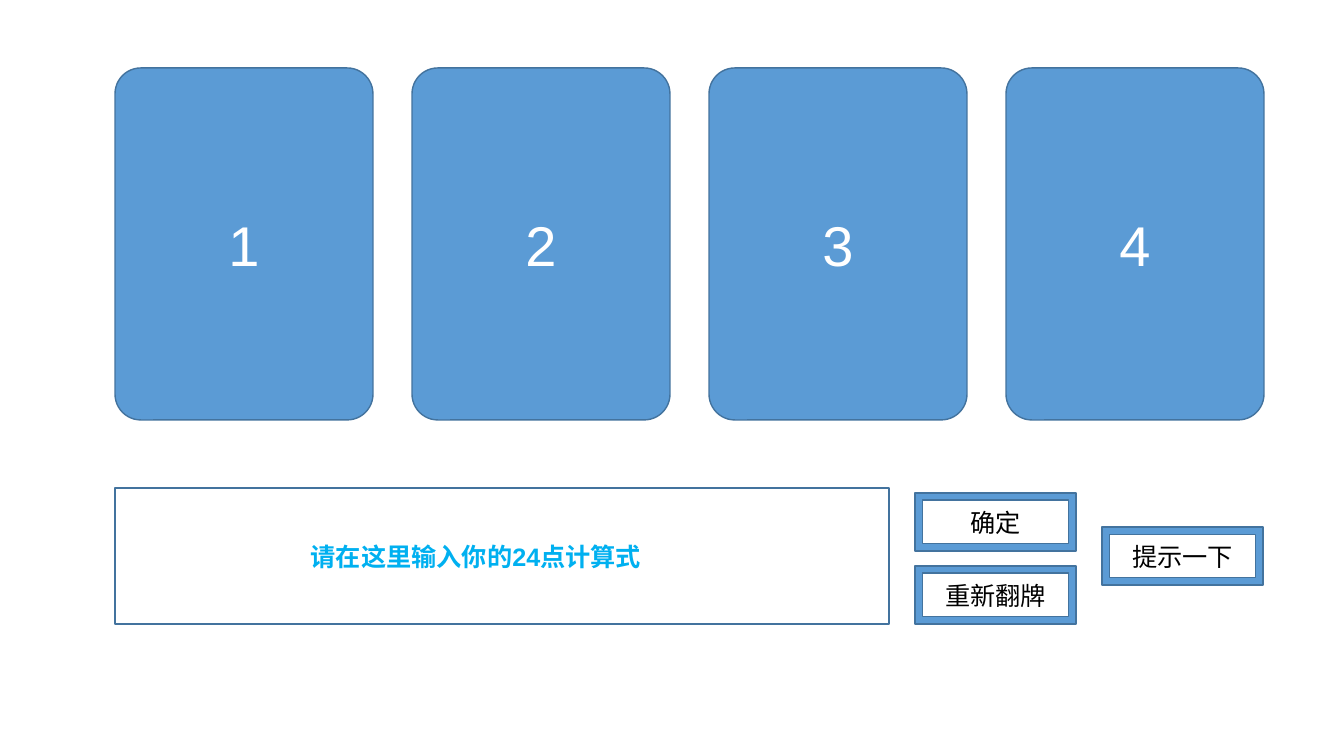
import pptx
import pptx.dml.color
import pptx.enum.shapes
import pptx.enum.text
import pptx.util

CARDS = ["1", "2", "3", "4"]
PROMPT = "请在这里输入你的24点计算式"
BUTTONS = [("确定", 915, 493), ("提示一下", 1102, 527), ("重新翻牌", 915, 566)]

SLIDE_SIZE = (1344, 756)
CARD_LEFT, CARD_TOP, CARD_STEP = 115, 68, 297
CARD_SIZE = (258, 352)
PROMPT_BOX = (115, 488, 774, 136)
PROMPT_RIGHT_INSET = 62
BUTTON_SIZE = (161, 58)
BLUE, EDGE = "5B9BD5", "43739E"
CARD_FONT = {"size": pptx.util.Pt(40), "name": "Arial", "bold": False}
PROMPT_FONT = {"size": pptx.util.Pt(18), "name": "Arial", "bold": True}
BUTTON_FONT = {"size": pptx.util.Pt(18), "name": "Arial", "bold": False}

SHAPES = pptx.enum.shapes.MSO_SHAPE


def px(length):
    return round(length * 914400 / 100.8)


def paint(color_format, color):
    color_format.rgb = pptx.dml.color.RGBColor.from_string(color)


def add_box(slide, kind, box, text, font, color, fill=None):
    shape = slide.shapes.add_shape(kind, *map(px, box))
    shape.shadow.inherit = False
    if fill:
        shape.fill.solid()
        paint(shape.fill.fore_color, fill)
    else:
        shape.fill.background()
    paint(shape.line.color, EDGE)
    shape.line.width = pptx.util.Pt(1)
    frame = shape.text_frame
    frame.word_wrap = True
    frame.vertical_anchor = pptx.enum.text.MSO_ANCHOR.MIDDLE
    paragraph = frame.paragraphs[0]
    paragraph.alignment = pptx.enum.text.PP_ALIGN.CENTER
    run = paragraph.add_run()
    run.text = text
    for name, value in font.items():
        setattr(run.font, name, value)
    paint(run.font.color, color)
    return shape


def main():
    deck = pptx.Presentation()
    deck.slide_width, deck.slide_height = map(px, SLIDE_SIZE)
    slide = deck.slides.add_slide(deck.slide_layouts[6])

    for index, number in enumerate(CARDS):
        box = (CARD_LEFT + index * CARD_STEP, CARD_TOP, *CARD_SIZE)
        card = add_box(slide, SHAPES.ROUNDED_RECTANGLE, box, number, CARD_FONT, "FFFFFF", BLUE)
        card.adjustments[0] = 0.1

    prompt = add_box(slide, SHAPES.RECTANGLE, PROMPT_BOX, PROMPT, PROMPT_FONT, "00B0F0")
    prompt.text_frame.margin_right = px(PROMPT_RIGHT_INSET)

    for label, left, top in BUTTONS:
        add_box(slide, SHAPES.FRAME, (left, top, *BUTTON_SIZE), label, BUTTON_FONT, "000000", BLUE)

    deck.save("out.pptx")


if __name__ == "__main__":
    main()
